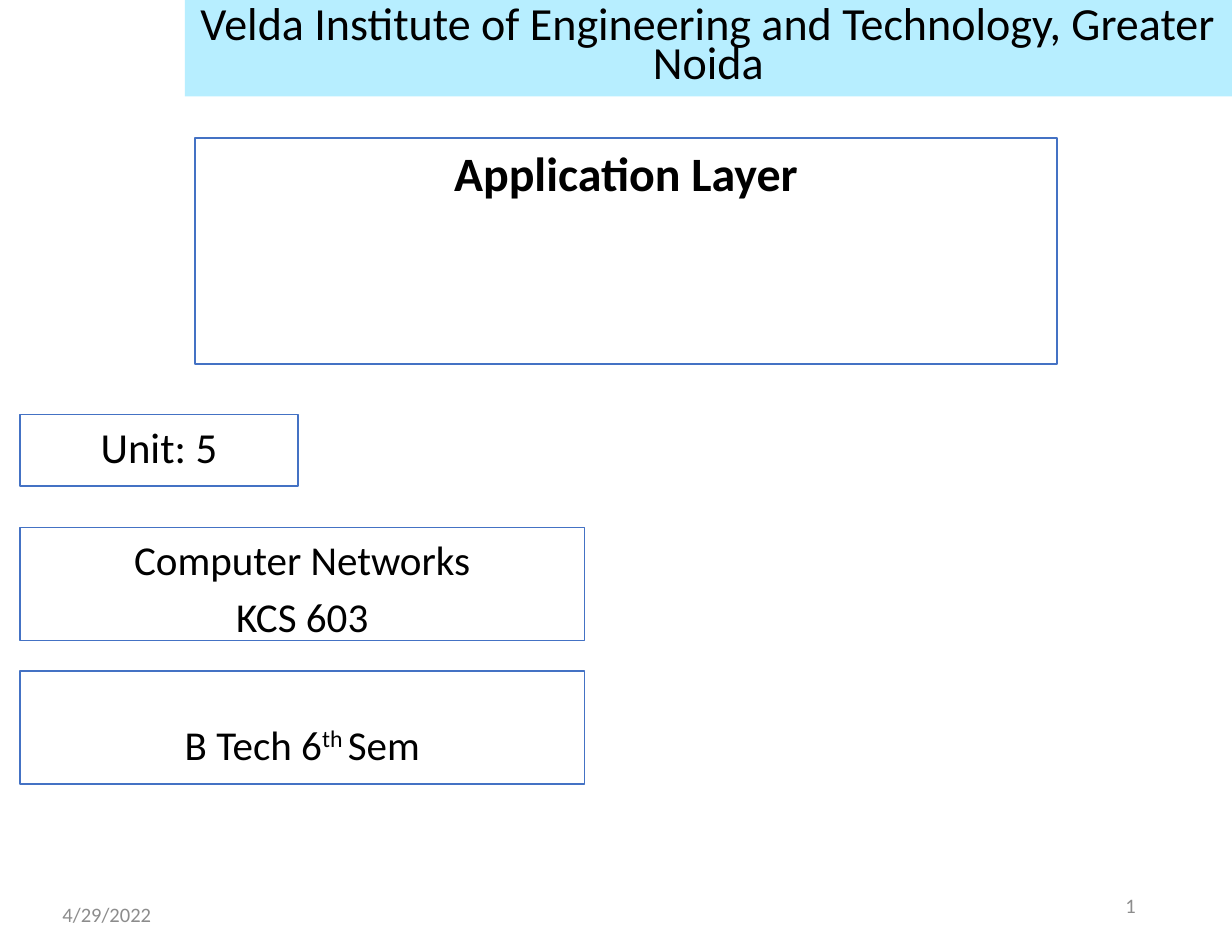
from pptx import Presentation
from pptx import util as u
from pptx.dml.color import RGBColor
from pptx.enum import shapes, text

FONT = "Calibri"
COLORS = {"text": "000000", "muted": "8C8C8C", "border": "4472C4",
          "box": "FFFFFF", "banner": "B7EEFF"}

# Content: each paragraph is a list of (text, is superscript)
BANNER = [[("Velda Institute of Engineering and Technology, Greater Noida", False)]]
TOPIC = [[("Application Layer", False)]]

# Course boxes: paragraphs, top, width, height, font size, top inset
COURSE_LEFT = 0.18
COURSE_BOXES = [
    ([[("Unit: 5", False)]], 3.7, 2.48, 0.64, 27.5, 0.06),
    ([[("Computer Networks", False)], [("KCS 603", False)]],
     4.71, 5.04, 1.01, 26.4, 0.06),
    ([[("B Tech 6", False), ("th ", True), ("Sem", False)]],
     5.99, 5.04, 1.01, 26.4, 0.43),
]

# Footer: text, position, alignment
FOOTER = [
    ("4/29/2022", (0.46, 7.94, 2.57, 0.44), text.PP_ALIGN.LEFT),
    ("1", (9.56, 7.86, 0.68, 0.45), text.PP_ALIGN.RIGHT),
]


def color(name):
    return RGBColor.from_string(COLORS[name])


def place(shape, left, top, width, height):
    shape.left, shape.top = u.Inches(left), u.Inches(top)
    shape.width, shape.height = u.Inches(width), u.Inches(height)


def paint(shape, fill, line=None):
    shape.fill.solid()
    shape.fill.fore_color.rgb = color(fill)
    if line:
        shape.line.color.rgb = color(line)
        shape.line.width = u.Pt(1)
    else:
        shape.line.fill.background()


def write(shape, paragraphs, size, ink="text", bold=False, spacing=1.0, before=0,
          align=text.PP_ALIGN.CENTER, anchor=text.MSO_ANCHOR.TOP):
    frame = shape.text_frame
    frame.word_wrap = True
    frame.auto_size = text.MSO_AUTO_SIZE.NONE
    frame.vertical_anchor = anchor
    for index, pieces in enumerate(paragraphs):
        paragraph = frame.add_paragraph() if index else frame.paragraphs[0]
        paragraph.alignment = align
        paragraph.line_spacing = spacing
        paragraph.space_before = u.Pt(before)
        for words, raised in pieces:
            run = paragraph.add_run()
            run.text = words
            run.font.name = FONT
            run.font.size = u.Pt(size)
            run.font.bold = bold
            run.font.color.rgb = color(ink)
            if raised:
                run._r.get_or_add_rPr().set("baseline", "30000")


presentation = Presentation()
presentation.slide_width, presentation.slide_height = u.Inches(11), u.Inches(8.5)
slide = presentation.slides.add_slide(presentation.slide_layouts[0])

# Banner with the institute
banner = slide.shapes.title
place(banner, 1.65, 0, 9.35, 0.86)
paint(banner, "banner")
write(banner, BANNER, 29.6, spacing=0.7, anchor=text.MSO_ANCHOR.MIDDLE)

# Topic
topic = slide.placeholders[1]
place(topic, 1.74, 1.23, 7.7, 2.02)
paint(topic, "box", "border")
write(topic, TOPIC, 30.8, bold=True, before=11)

# Course boxes
for paragraphs, top, width, height, size, inset in COURSE_BOXES:
    box = slide.shapes.add_shape(
        shapes.MSO_SHAPE.RECTANGLE, u.Inches(COURSE_LEFT), u.Inches(top),
        u.Inches(width), u.Inches(height))
    box.shadow.inherit = False
    paint(box, "box", "border")
    frame = box.text_frame
    frame.margin_left = frame.margin_right = u.Inches(0.11)
    frame.margin_top, frame.margin_bottom = u.Inches(inset), u.Inches(0.06)
    write(box, paragraphs, size, before=round(size * 0.2, 1))

# Date and slide number
for words, position, align in FOOTER:
    label = slide.shapes.add_textbox(*map(u.Inches, position))
    write(label, [[(words, False)]], 13.2, ink="muted", align=align,
          anchor=text.MSO_ANCHOR.MIDDLE)

presentation.save("out.pptx")
